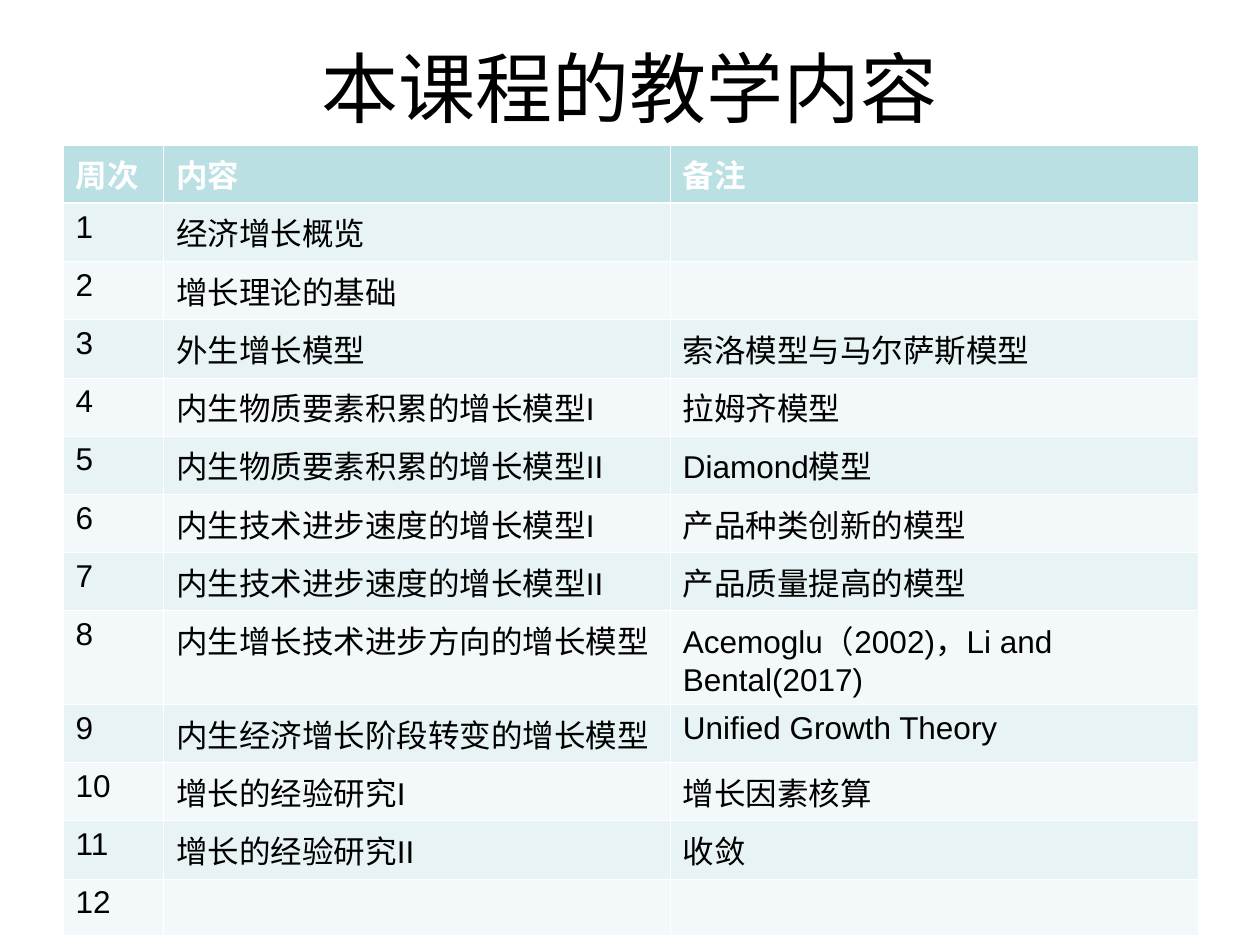
from dataclasses import dataclass

import pptx
import pptx.dml.color
import pptx.enum.text
import pptx.oxml
import pptx.oxml.ns
import pptx.util
from pptx.util import Inches

FONT = "Arial"
WHITE, BLACK = "FFFFFF", "000000"
HEADER_FILL = "BBE0E3"
BAND_FILLS = ("F3F9FA", "E7F3F4")
THIN, THICK = 0.45, 1.47
COLUMN_WIDTHS = (0.8, 4.02, 4.19)
ROW_HEIGHT, TALL_ROW_HEIGHT = 0.45, 0.7
TALL_WEEK = "8"


@dataclass
class Week:
    number: str
    content: str = ""
    remark: str = ""


HEADINGS = Week("周次", "内容", "备注")
WEEKS = [
    Week("1", "经济增长概览"),
    Week("2", "增长理论的基础"),
    Week("3", "外生增长模型", "索洛模型与马尔萨斯模型"),
    Week("4", "内生物质要素积累的增长模型I", "拉姆齐模型"),
    Week("5", "内生物质要素积累的增长模型II", "Diamond模型"),
    Week("6", "内生技术进步速度的增长模型I", "产品种类创新的模型"),
    Week("7", "内生技术进步速度的增长模型II", "产品质量提高的模型"),
    Week("8", "内生增长技术进步方向的增长模型", "Acemoglu（2002)，Li and Bental(2017)"),
    Week("9", "内生经济增长阶段转变的增长模型", "Unified Growth Theory"),
    Week("10", "增长的经验研究I", "增长因素核算"),
    Week("11", "增长的经验研究II", "收敛"),
    Week("12"),
]


def color(value: str) -> pptx.dml.color.RGBColor:
    return pptx.dml.color.RGBColor.from_string(value)


def style_text(paragraph, size: float, value: str, bold: bool = False) -> None:
    font = paragraph.font
    for target in [font] + [run.font for run in paragraph.runs]:
        target.name = FONT
        target.size = pptx.util.Pt(size)
        target.bold = bold
        target.color.rgb = color(value)


def add_borders(cell, top: float, bottom: float) -> None:
    properties = cell._tc.get_or_add_tcPr()
    for side, width in (("L", THIN), ("R", THIN), ("T", top), ("B", bottom)):
        properties.append(pptx.oxml.parse_xml(
            f'<a:ln{side} {pptx.oxml.ns.nsdecls("a")} w="{pptx.util.Pt(width)}">'
            f'<a:solidFill><a:srgbClr val="{WHITE}"/></a:solidFill></a:ln{side}>'
        ))


def fill_row(table, index: int, week: Week) -> None:
    is_header = index == 0
    tall = week.number == TALL_WEEK
    table.rows[index].height = Inches(TALL_ROW_HEIGHT if tall else ROW_HEIGHT)
    for column, wording in enumerate((week.number, week.content, week.remark)):
        cell = table.cell(index, column)
        cell.text_frame.text = wording
        style_text(cell.text_frame.paragraphs[0], 18,
                   WHITE if is_header else BLACK, is_header)
        add_borders(cell, THICK if index == 1 else THIN,
                    THICK if is_header else THIN)
        cell.fill.solid()
        cell.fill.fore_color.rgb = color(
            HEADER_FILL if is_header else BAND_FILLS[index % 2])


def add_title(slide, wording: str) -> None:
    title = slide.shapes.title
    title.left, title.top = Inches(0.5), Inches(0.3)
    title.width, title.height = Inches(9), Inches(0.77)
    frame = title.text_frame
    frame.text = wording
    frame.vertical_anchor = pptx.enum.text.MSO_ANCHOR.MIDDLE
    frame.paragraphs[0].alignment = pptx.enum.text.PP_ALIGN.CENTER
    style_text(frame.paragraphs[0], 44, BLACK)


def add_schedule(slide, schedule: list[Week]) -> None:
    table = slide.shapes.add_table(
        len(schedule), len(COLUMN_WIDTHS),
        Inches(0.5), Inches(1.15), Inches(9), Inches(6.12)).table
    for column, width in zip(table.columns, COLUMN_WIDTHS):
        column.width = Inches(width)
    for index, week in enumerate(schedule):
        fill_row(table, index, week)


def main() -> None:
    presentation = pptx.Presentation()
    presentation.slide_width = Inches(10)
    presentation.slide_height = Inches(7.5)
    slide = presentation.slides.add_slide(presentation.slide_layouts[5])
    add_title(slide, "本课程的教学内容")
    add_schedule(slide, [HEADINGS] + WEEKS)
    presentation.save("out.pptx")


if __name__ == "__main__":
    main()
